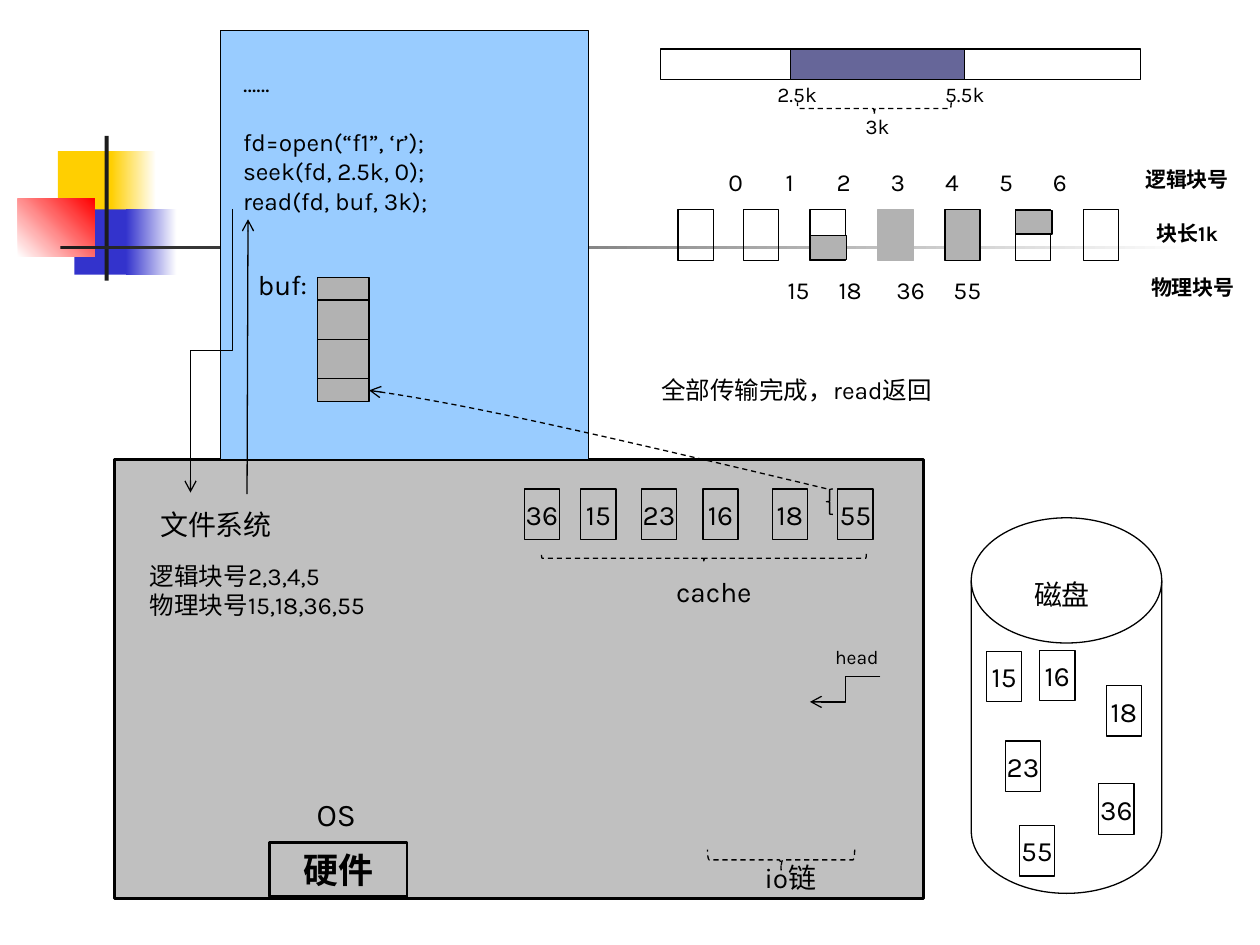
from pptx import Presentation
from pptx.dml.color import RGBColor
from pptx.enum.dml import MSO_LINE
from pptx.enum.shapes import MSO_CONNECTOR as LINK, MSO_SHAPE as FORM
from pptx.enum.text import MSO_ANCHOR, MSO_AUTO_SIZE, PP_ALIGN
from pptx.oxml.ns import qn
from pptx.util import Cm, Pt
from lxml.etree import SubElement

BLACK, GREY = "000000", "B2B2B2"
BLOCK_SIZE = (0.71, 1.02)


def colour(value):
    return RGBColor.from_string(value)


def bezier(start, pull, push, end, steps=12):
    for step in range(1, steps + 1):
        t = step / steps
        weights = ((1 - t) ** 3, 3 * t * (1 - t) ** 2, 3 * t * t * (1 - t), t ** 3)
        yield tuple(sum(w * p[axis] for w, p in zip(weights, (start, pull, push, end)))
                    for axis in (0, 1))


class Diagram:
    """Draws elements in one style on the current slide, measured in centimetres."""

    font = "Karla"

    def __init__(self, slide):
        self.slide = slide
        self.shapes = slide.shapes

    def stroke(self, item, width=0.75, dashed=False, arrow=None):
        item.line.color.rgb = colour(BLACK)
        item.line.width = Pt(width)
        if dashed:
            item.line.dash_style = MSO_LINE.DASH
        if arrow:
            outline = item.element.spPr.find(qn("a:ln"))
            SubElement(outline, qn(f"a:{arrow}End")).set("type", "arrow")

    def fill_in(self, frame, text, size, bold=False, align=PP_ALIGN.CENTER):
        frame.text = text
        for paragraph in frame.paragraphs:
            paragraph.alignment = align
            for run in paragraph.runs:
                run.font.name = self.font
                run.font.size = Pt(size)
                run.font.bold = bold
                run.font.color.rgb = colour(BLACK)

    def shape(self, box, fill=None, line=BLACK, width=0.75, form=FORM.RECTANGLE):
        item = self.shapes.add_shape(form, *map(Cm, box))
        item.shadow.inherit = False
        if fill:
            item.fill.solid()
            item.fill.fore_color.rgb = colour(fill)
        else:
            item.fill.background()
        if line:
            self.stroke(item, width)
            item.line.color.rgb = colour(line)
        else:
            item.line.fill.background()
        return item

    def fade(self, box, first, last, angle=0):
        item = self.shape(box, line=None)
        item.fill.gradient()
        item.fill.gradient_angle = angle
        for stop, value in zip(item.fill.gradient_stops, (first, last)):
            stop.color.rgb = colour(value)

    def labelled(self, box, text, size=16, bold=False, width=0.75):
        frame = self.shape(box, width=width).text_frame
        frame.word_wrap = False
        frame.vertical_anchor = MSO_ANCHOR.MIDDLE
        self.fill_in(frame, text, size, bold)

    def text(self, box, text, size, bold=False, align=PP_ALIGN.CENTER):
        frame = self.shapes.add_textbox(*map(Cm, box)).text_frame
        frame.word_wrap = True
        frame.auto_size = MSO_AUTO_SIZE.SHAPE_TO_FIT_TEXT
        self.fill_in(frame, text, size, bold, align)
        return frame

    def number_row(self, box, numbers, centres):
        frame = self.text(box, "".join(f"\t{n}" for n in numbers), 14, align=PP_ALIGN.LEFT)
        properties = frame.paragraphs[0]._p.get_or_add_pPr()
        tabs = SubElement(properties, qn("a:tabLst"))
        for centre in centres:
            tab = SubElement(tabs, qn("a:tab"))
            tab.set("pos", str(int(Cm(centre))))
            tab.set("algn", "ctr")

    def brace_below(self, box):
        brace = self.shape(box, form=FORM.RIGHT_BRACE)
        brace.rotation = 90
        self.stroke(brace, dashed=True)

    def arrow(self, start, end, kind=LINK.STRAIGHT, turn=0):
        link = self.shapes.add_connector(kind, *map(Cm, start + end))
        self.stroke(link, arrow="tail")
        SubElement(link.element.spPr, qn("a:effectLst"))
        if turn:
            link.element.spPr.find(qn("a:xfrm")).set("rot", str(turn * 60000))

    def dashed_curve(self, start, *pieces):
        points, here = [], start
        for piece in pieces:
            points += bezier(here, *piece)
            here = piece[-1]
        builder = self.shapes.build_freeform(*map(Cm, start))
        builder.add_line_segments([(Cm(x), Cm(y)) for x, y in points], close=False)
        curve = builder.convert_to_shape()
        curve.shadow.inherit = False
        curve.fill.background()
        self.stroke(curve, dashed=True, arrow="head")


def draw_backdrop(d):
    d.shape((1.17, 3.05, 1.22, 1.32), "FFCF01", None)
    d.fade((2.24, 3.05, 0.91, 1.32), "FFCF01", "FFFFFF")
    d.shape((1.5, 4.22, 1.17, 1.32), "3333CC", None)
    d.fade((2.54, 4.22, 1.02, 1.32), "3333CC", "FFFFFF")
    d.fade((0.36, 4.01, 1.55, 1.17), "FFFFFF", "FF0000", 45)
    d.shape((2.11, 2.74, 0.08, 2.92), "1C1C1C", None)
    d.fade((1.22, 4.95, 22.86, 0.08), "1C1C1C", "FFFFFF")


def draw_system(d):
    d.shape((2.31, 9.27, 16.31, 8.84), "C0C0C0", width=1.5)
    d.labelled((5.44, 16.99, 2.77, 1.09), "硬件", 20, True, 1.5)
    d.text((5.66, 15.9, 2.24, 1.02), "OS", 18)
    d.text((16.54, 12.88, 1.47, 0.74), "head", 11)
    d.arrow((17.75, 13.64), (16.33, 14.15), LINK.ELBOW)
    d.brace_below((15.54, 15.85, 0.41, 2.97))
    d.text((15.06, 17.22, 1.75, 0.94), "io链", 16)
    d.text((2.87, 10.11, 2.97, 0.94), "文件系统", 16)
    d.text((2.77, 11.18, 5.41, 1.45), "逻辑块号2,3,4,5\n物理块号15,18,36,55", 14,
           align=PP_ALIGN.LEFT)
    cache = {"36": 10.57, "15": 11.71, "23": 12.93, "16": 14.17, "18": 15.57, "55": 16.89}
    for number, left in cache.items():
        d.labelled((left, 9.86, *BLOCK_SIZE), number)
    d.brace_below((14.1, 7.98, 0.18, 6.55))
    d.text((13.36, 11.46, 2.06, 0.94), "cache", 16)


def draw_disk(d):
    d.shape((19.58, 10.44, 3.84, 7.57), form=FORM.FLOWCHART_MAGNETIC_DISK)
    d.text((20.19, 11.51, 2.44, 0.94), "磁盘", 16)
    stored = {"15": (19.89, 13.13), "18": (22.3, 13.82), "23": (20.27, 14.94),
              "36": (22.15, 15.8), "55": (20.55, 16.64), "16": (20.96, 13.11)}
    for number, corner in stored.items():
        d.labelled((*corner, *BLOCK_SIZE), number)


def draw_program(d):
    d.shape((4.45, 0.61, 7.42, 8.66), "99CCFF")
    code = d.text((4.65, 1.24, 5.74, 3.23),
                  "……\nfd=open(“f1”, ‘r’);\nseek(fd, 2.5k, 0);\nread(fd, buf, 3k);",
                  14, align=PP_ALIGN.LEFT)
    code.paragraphs[1].space_before = Pt(17)
    d.text((4.88, 5.26, 1.63, 0.94), "buf:", 16)
    top = 5.59
    for height in (0.46, 0.79, 0.79, 0.46):
        d.shape((6.4, top, 1.04, height), GREY)
        top += height


def draw_file(d):
    d.shape((13.31, 0.99, 9.68, 0.61))
    d.shape((15.93, 0.99, 3.51, 0.61), "666699")
    for mark, left, top in (("2.5k", 15.37, 1.52), ("3k", 16.99, 2.16), ("5.5k", 18.75, 1.52)):
        d.text((left, top, 1.4, 0.76), mark, 12)
    d.brace_below((17.5, 0.64, 0.25, 3.1))
    whole_blocks = {17.7: (GREY, GREY), 19.05: (GREY, BLACK)}
    for left in (13.67, 14.99, 16.33, 17.7, 19.05, 20.47, 21.84):
        d.shape((left, 4.23, *BLOCK_SIZE), *whole_blocks.get(left, (None, BLACK)))
    for left, top in ((16.33, 4.75), (20.47, 4.24)):
        d.shape((left, top, 0.74, 0.48), GREY)
    d.number_row((13.08, 3.25, 10.03, 0.86), range(7), [1.5 + 1.09 * i for i in range(7)])
    d.number_row((15.49, 5.41, 6.6, 0.86), (15, 18, 36, 55), (0.36, 1.4, 2.62, 3.76))
    for name, left, top in (("逻辑块号", 22.66, 3.23), ("块长1k", 22.66, 4.32),
                            ("物理块号", 22.78, 5.41)):
        d.text((left, top, 2.54, 0.76), name, 12, True)
    d.text((13.08, 7.44, 11.48, 0.86), "全部传输完成，read返回", 14, align=PP_ALIGN.LEFT)


def draw_transfers(d):
    d.arrow((1.4, 6.65), (7.12, 7.49), LINK.ELBOW, 90)
    d.dashed_curve((7.44, 7.87), ((8.2, 7.98), (8.94, 8.1), (10.49, 8.43)),
                   ((12.04, 8.76), (14.35, 9.3), (16.69, 9.86)))
    d.shape((16.66, 9.86, 0.13, 0.51), form=FORM.LEFT_BRACE)
    d.arrow((4.98, 9.96), (5, 4.42))


def main():
    deck = Presentation()
    deck.slide_width, deck.slide_height = Cm(25.4), Cm(19.05)
    diagram = Diagram(deck.slides.add_slide(deck.slide_layouts[6]))
    for draw in (draw_backdrop, draw_system, draw_disk, draw_program, draw_file, draw_transfers):
        draw(diagram)
    deck.save("out.pptx")


if __name__ == "__main__":
    main()
